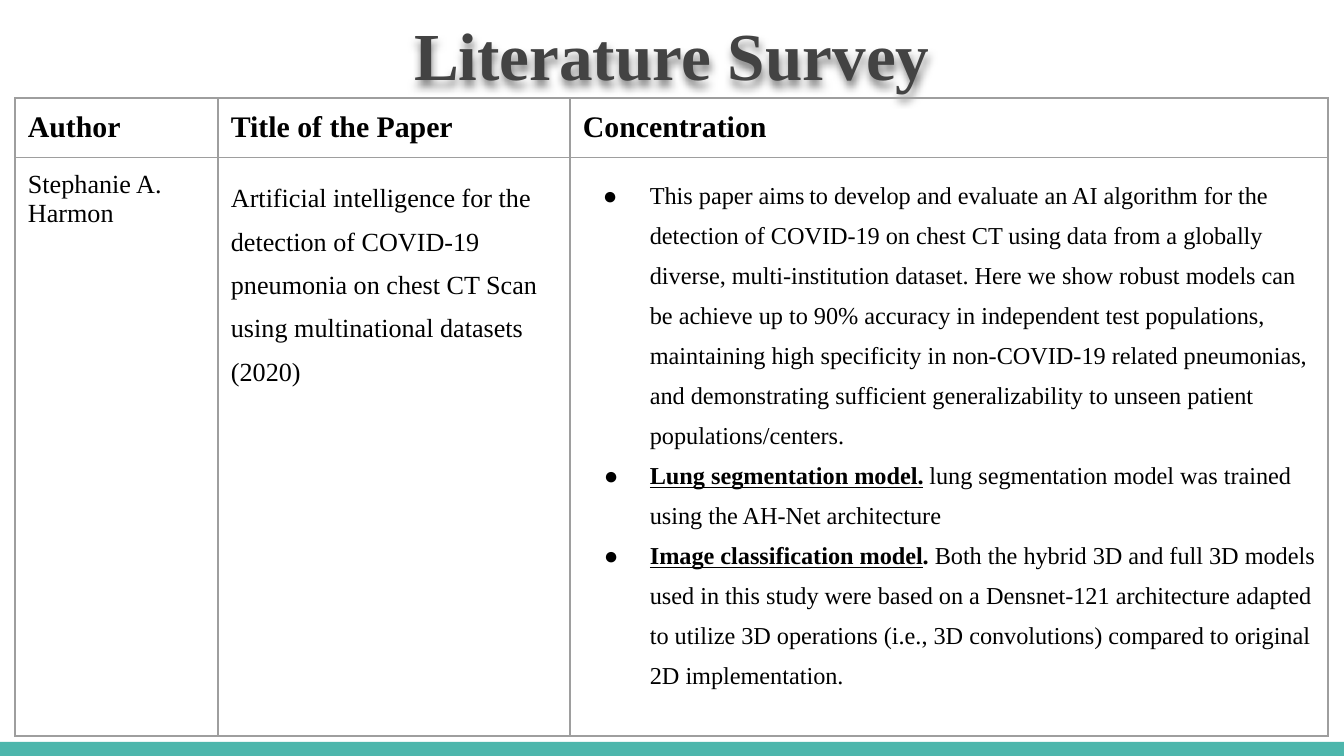
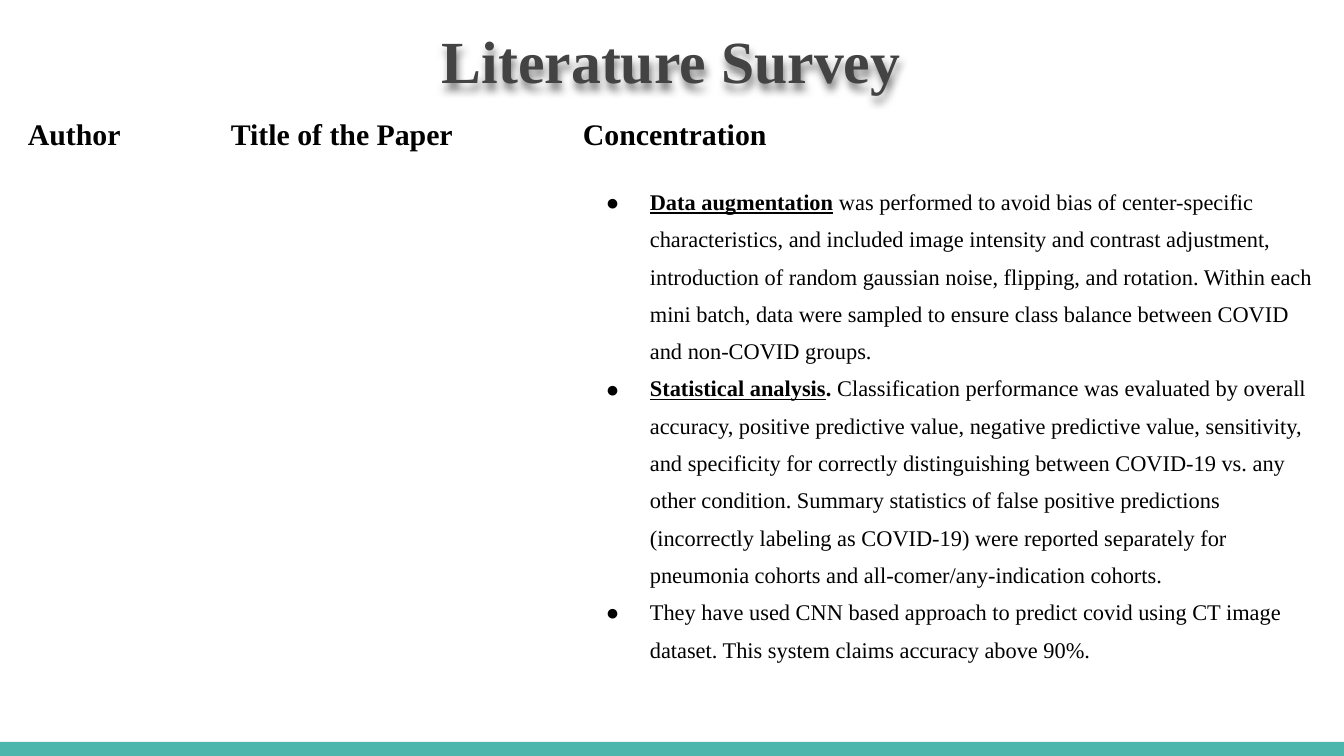
import lxml.etree
import pptx
import pptx.dml.color
import pptx.enum.shapes
import pptx.enum.text
import pptx.oxml.ns
import pptx.util

PX = 914400 / 134.4
WIDTH, HEIGHT = 1344, 756
INSET = 13
COLUMNS = (203, 352, 758)
HEADINGS = ("Author", "Title of the Paper", "Concentration")
FONT = "Times New Roman"
PLAIN_TABLE = "{2D5ABB26-0587-4C30-8999-92F81FD0307C}"

BLACK = pptx.dml.color.RGBColor(0x00, 0x00, 0x00)
TITLE_GREY = pptx.dml.color.RGBColor(0x43, 0x43, 0x43)
BORDER_GREY = pptx.dml.color.RGBColor(0x9E, 0x9E, 0x9E)
TEAL = pptx.dml.color.RGBColor(0x4D, 0xB6, 0xAC)

BOLD = {"bold": True}
TERM = {"bold": True, "underline": True}
INSETS = {f"margin_{side}": round(INSET * PX) for side in ("left", "right", "top", "bottom")}

SURVEYS = [
    {
        "title": ((17, 0, 1310, 78), 36),
        "table": (15, 98),
        "rows": (55, 579),
        "border": BORDER_GREY,
        "author": "Stephanie A. Harmon",
        "paper": (
            "Artificial intelligence for the detection of COVID-19 pneumonia on chest CT Scan "
            "using multinational datasets",
            "(2020)",
        ),
        "size": 13,
        "points": [
            (-47, [
                ("This paper aims", {}),
                (" ", {"size": pptx.util.Pt(10.5)}),
                ("to develop and evaluate an AI algorithm for the detection of COVID-19 on chest CT "
                 "using data from a globally diverse, multi-institution dataset. Here we show robust "
                 "models can be achieve up to 90% accuracy in independent test populations, "
                 "maintaining high specificity in non-COVID-19 related pneumonias, and demonstrating "
                 "sufficient generalizability to unseen patient populations/centers.", {}),
            ]),
            (-46, [
                ("Lung segmentation model.", TERM),
                (" ", BOLD),
                ("lung segmentation model was trained using the AH-Net architecture", {}),
            ]),
            (-46, [
                ("Image classification model", TERM),
                (".", BOLD),
                (" Both the hybrid 3D and full 3D models used in this study were based on a "
                 "Densnet-121 architecture adapted to utilize 3D operations (i.e., 3D convolutions) "
                 "compared to original 2D implementation.", {}),
            ]),
        ],
    },
    {
        "title": ((15, 11, 1313, 74), 32),
        "table": (15, 106),
        "rows": (59, 520),
        "border": None,
        "author": "",
        "paper": (),
        "size": 12,
        "points": [
            (-44, [
                ("Data augmentation", TERM),
                (" was performed to avoid bias of center-specific characteristics, and included "
                 "image intensity and contrast adjustment, introduction of random gaussian noise, "
                 "flipping, and rotation. Within each mini batch, data were sampled to ensure class "
                 "balance between COVID and non-COVID groups.", {}),
            ]),
            (-44, [
                ("Statistical analysis", TERM),
                (".", BOLD),
                (" Classification performance was evaluated by overall accuracy, positive predictive "
                 "value, negative predictive value, sensitivity, and specificity for correctly "
                 "distinguishing between COVID-19 vs. any other condition. Summary statistics of "
                 "false positive predictions (incorrectly labeling as COVID-19) were reported "
                 "separately for pneumonia cohorts and all-comer/any-indication cohorts.", {}),
            ]),
            (-44, [
                ("They have used CNN based approach to predict covid using CT image dataset. This "
                 "system claims accuracy above 90%.", {}),
            ]),
        ],
    },
]


def emu(*lengths):
    """Turn px lengths into EMU."""
    return [pptx.util.Emu(round(length * PX)) for length in lengths]


def apply(target, values):
    """Set each named attribute of the target."""
    for name, value in values.items():
        setattr(target, name, value)


def add_xml(parent, tag, **attributes):
    """Append a drawing element and return it."""
    return lxml.etree.SubElement(parent, pptx.oxml.ns.qn(tag), attributes)


def add_run(paragraph, text, size, color=BLACK, **extra):
    """Add one formatted run of text."""
    run = paragraph.add_run()
    run.text = text
    apply(run.font, {"name": FONT, "size": pptx.util.Pt(size), "bold": False, **extra})
    run.font.color.rgb = color


def add_bullet(paragraph, indent):
    """Give a paragraph a hanging black bullet."""
    properties = paragraph._p.get_or_add_pPr()
    margin, hanging = emu(67, indent)
    properties.set("marL", str(margin))
    properties.set("indent", str(hanging))
    add_xml(add_xml(properties, "a:buClr"), "a:srgbClr", val=str(BLACK))
    add_xml(properties, "a:buFont", typeface=FONT)
    add_xml(properties, "a:buChar", char="●")


def fill_cell(cell, lines, size, spacing=None, **extra):
    """Write paragraphs, each an indent (or None) with its runs, into a cell."""
    frame = cell.text_frame
    for index, (indent, runs) in enumerate(lines):
        paragraph = frame.add_paragraph() if index else frame.paragraphs[0]
        if indent is not None:
            add_bullet(paragraph, indent)
        if spacing:
            paragraph.line_spacing = spacing
        for text, values in runs:
            add_run(paragraph, text, **{"size": size, **extra} if "size" not in values
                    else {"size": values["size"].pt, **extra},
                    **{name: value for name, value in values.items() if name != "size"})


def format_cell(cell, border):
    """Set the insets, borders and empty fill of a cell."""
    apply(cell, INSETS)
    properties = cell._tc.get_or_add_tcPr()
    for side in ("a:lnL", "a:lnR", "a:lnT", "a:lnB") if border else ():
        line = add_xml(properties, side, w=str(pptx.util.Pt(0.75)))
        add_xml(add_xml(line, "a:solidFill"), "a:srgbClr", val=str(border))
    cell.fill.background()


def add_title(slide, box, size):
    """Place the centred heading with its soft shadow."""
    title = slide.shapes.title
    apply(title, dict(zip(("left", "top", "width", "height"), emu(*box))))
    frame = title.text_frame
    apply(frame, {
        **INSETS,
        "word_wrap": True,
        "auto_size": pptx.enum.text.MSO_AUTO_SIZE.NONE,
        "vertical_anchor": pptx.enum.text.MSO_ANCHOR.TOP,
    })
    heading = frame.paragraphs[0]
    heading.alignment = pptx.enum.text.PP_ALIGN.CENTER
    add_run(heading, "Literature Survey", size, TITLE_GREY, bold=True)
    effects = add_xml(title._element.spPr, "a:effectLst")
    shadow = add_xml(effects, "a:outerShdw", blurRad="57150", dist="38100", dir="5400000",
                     algn="bl", rotWithShape="0")
    add_xml(add_xml(shadow, "a:srgbClr", val=str(BLACK)), "a:alpha", val="50000")


def add_survey_table(slide, survey):
    """Add the table of author, paper and concentration."""
    rows = survey["rows"]
    box = (*survey["table"], sum(COLUMNS), sum(rows))
    table = slide.shapes.add_table(len(rows), len(COLUMNS), *emu(*box)).table
    apply(table, {"first_row": False, "horz_banding": False})
    table._tbl.tblPr.find(pptx.oxml.ns.qn("a:tableStyleId")).text = PLAIN_TABLE
    for column, width in zip(table.columns, emu(*COLUMNS)):
        column.width = width
    for row, height in zip(table.rows, emu(*rows)):
        row.height = height
    for cell in table.iter_cells():
        format_cell(cell, survey["border"])
    for index, heading in enumerate(HEADINGS):
        fill_cell(table.cell(0, index), [(None, [(heading, BOLD)])], 16)
    author, paper, concentration = (table.cell(1, index) for index in range(3))
    if survey["author"]:
        fill_cell(author, [(None, [(survey["author"], {})])], 14)
    fill_cell(paper, [(None, [(line, {})]) for line in survey["paper"]], 14, 1.5)
    fill_cell(concentration, survey["points"], survey["size"], 1.5)


def add_band(slide):
    """Draw the teal band along the bottom edge."""
    band = slide.shapes.add_shape(pptx.enum.shapes.MSO_SHAPE.RECTANGLE,
                                  *emu(0, HEIGHT - 14, WIDTH, 14))
    band.shadow.inherit = False
    band.fill.solid()
    band.fill.fore_color.rgb = TEAL
    band.line.fill.background()


def add_survey_slide(deck, survey):
    """Build one literature survey slide."""
    slide = deck.slides.add_slide(deck.slide_layouts[5])
    add_band(slide)
    add_survey_table(slide, survey)
    add_title(slide, *survey["title"])


def main():
    """Build and save the deck."""
    deck = pptx.Presentation()
    deck.slide_width, deck.slide_height = emu(WIDTH, HEIGHT)
    for survey in SURVEYS:
        add_survey_slide(deck, survey)
    deck.save("out.pptx")


if __name__ == "__main__":
    main()
